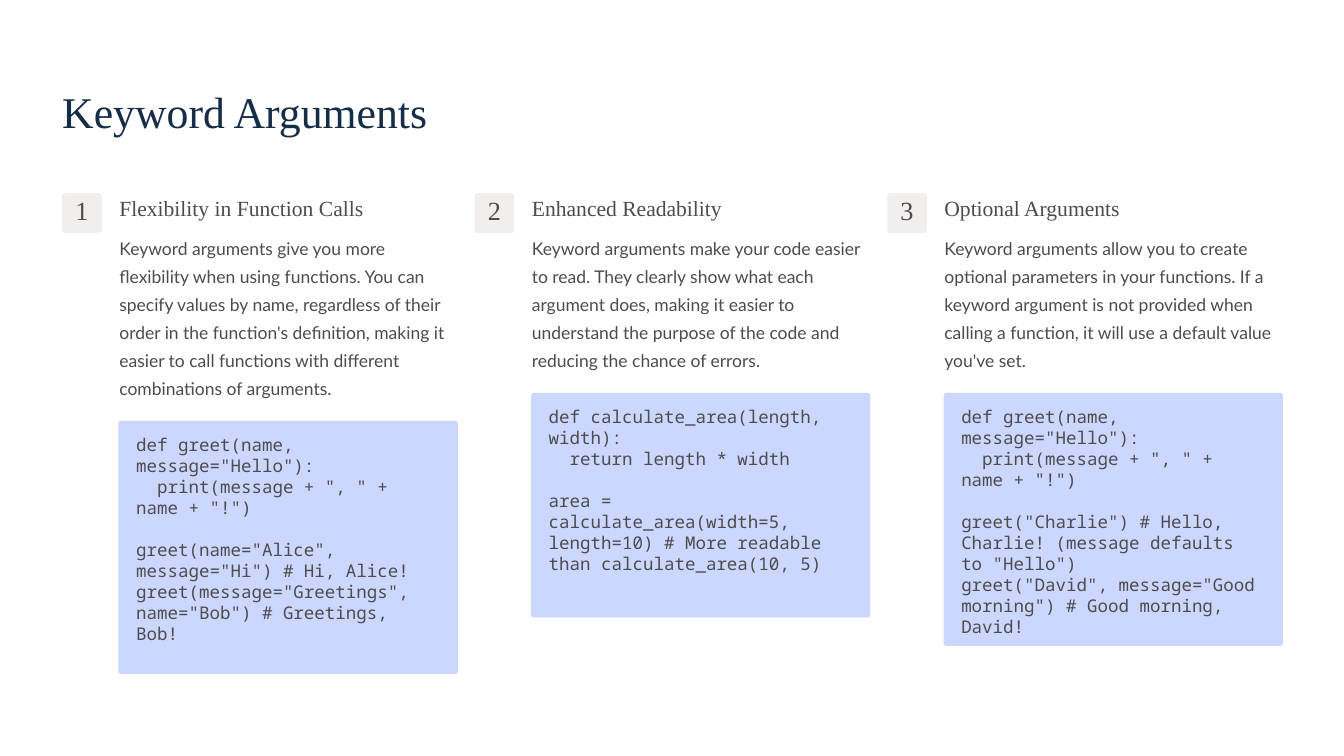
"""Build the slide on Python keyword arguments."""
import pptx
import pptx.dml.color
import pptx.enum.shapes
import pptx.enum.text
import pptx.util

Pt = pptx.util.Pt
Align = pptx.enum.text.PP_ALIGN
Anchor = pptx.enum.text.MSO_ANCHOR

COLORS = {"title": "152D47", "text": "4C4C4D", "badge": "F2EEEE", "code": "CCD7FF"}
SERIF, SANS, MONO = "Times New Roman", "Lato", "Noto Sans Mono"

LEFT, PITCH, TOP = 53.3, 353.6, 165.6
INDENT, WIDTH = 49, 289.5
BODY_TOP, BODY_LINE, CODE_GAP = 198, 24, 18.7

TOPICS = [
    {
        "heading": "Flexibility in Function Calls",
        "body": "Keyword arguments give you more flexibility when using functions. "
                "You can specify values by name, regardless of their order in the "
                "function's definition, making it easier to call functions with "
                "different combinations of arguments.",
        "body_lines": 6,
        "code": '''def greet(name, message="Hello"):
  print(message + ", " + name + "!")

greet(name="Alice", message="Hi") # Hi, Alice!
greet(message="Greetings", name="Bob") # Greetings, Bob!''',
        "code_height": 217,
    },
    {
        "heading": "Enhanced Readability",
        "body": "Keyword arguments make your code easier to read. They clearly show "
                "what each argument does, making it easier to understand the purpose "
                "of the code and reducing the chance of errors.",
        "body_lines": 5,
        "code": '''def calculate_area(length, width):
  return length * width

area = calculate_area(width=5, length=10) # More readable than calculate_area(10, 5)''',
        "code_height": 192.5,
    },
    {
        "heading": "Optional Arguments",
        "body": "Keyword arguments allow you to create optional parameters in your "
                "functions. If a keyword argument is not provided when calling a "
                "function, it will use a default value you've set.",
        "body_lines": 5,
        "code": '''def greet(name, message="Hello"):
  print(message + ", " + name + "!")

greet("Charlie") # Hello, Charlie! (message defaults to "Hello")
greet("David", message="Good morning") # Good morning, David!''',
        "code_height": 217,
    },
]


def write(box, text, *, font, size, line, color="text", align=Align.LEFT,
          anchor=Anchor.TOP, inset=(0, 0), wrap=True):
    """Fill a box with one formatted paragraph."""
    frame = box.text_frame
    frame.word_wrap = wrap
    frame.auto_size = pptx.enum.text.MSO_AUTO_SIZE.NONE
    frame.vertical_anchor = anchor
    frame.margin_left = frame.margin_right = Pt(inset[0])
    frame.margin_top = frame.margin_bottom = Pt(inset[1])
    para = frame.paragraphs[0]
    para.text = text.replace("\n", "\v")
    para.alignment = align
    para.line_spacing = Pt(line)
    para.space_before = Pt(0)
    for span in para.runs:
        span.font.name = font
        span.font.size = Pt(size)
        span.font.color.rgb = pptx.dml.color.RGBColor.from_string(COLORS[color])


class SlideBuilder:
    """Hold the deck and the current page, and add elements to it."""

    def __init__(self):
        """Start a deck with one title-only page."""
        self.deck = pptx.Presentation()
        self.deck.slide_width = Pt(1152)
        self.deck.slide_height = Pt(648)
        self.page = self.deck.slides.add_slide(self.deck.slide_layouts[5])

    def title(self, text, left, top, width, height):
        """Place and format the title placeholder."""
        box = self.page.shapes.title
        box.left, box.top, box.width, box.height = map(Pt, (left, top, width, height))
        write(box, text, font=SERIF, size=37.5, line=47, color="title", wrap=False)

    def text(self, text, left, top, width, height, **style):
        """Add a plain text box."""
        box = self.page.shapes.add_textbox(*map(Pt, (left, top, width, height)))
        write(box, text, **style)

    def panel(self, text, left, top, width, height, fill, radius, **style):
        """Add a filled rounded rectangle with text."""
        box = self.page.shapes.add_shape(
            pptx.enum.shapes.MSO_SHAPE.ROUNDED_RECTANGLE,
            *map(Pt, (left, top, width, height)))
        box.adjustments[0] = radius / min(width, height)
        box.shadow.inherit = False
        box.fill.solid()
        box.fill.fore_color.rgb = pptx.dml.color.RGBColor.from_string(COLORS[fill])
        box.line.fill.background()
        write(box, text, **style)

    def topic(self, number, heading, body, body_lines, code, code_height):
        """Add one numbered column with heading, body and code."""
        left = LEFT + (number - 1) * PITCH
        inner = left + INDENT
        body_height = body_lines * BODY_LINE
        self.panel(str(number), left, TOP, 34, 34, "badge", 2.25, font=SERIF,
                   size=22.5, line=22.5, align=Align.CENTER, anchor=Anchor.MIDDLE)
        self.text(heading, inner, TOP, WIDTH, 24, font=SERIF, size=18.5, line=23.5,
                  wrap=False)
        self.text(body, inner, BODY_TOP, WIDTH, body_height, font=SANS, size=15,
                  line=BODY_LINE)
        self.panel(code, inner - 0.7, BODY_TOP + body_height + CODE_GAP, WIDTH + 1.4,
                   code_height, "code", 2.25, font=MONO, size=15, line=18,
                   inset=(14.5, 11))


def main():
    """Build and save the deck."""
    builder = SlideBuilder()
    builder.title("Keyword Arguments", LEFT, 70.5, 379, 47.5)
    for number, topic in enumerate(TOPICS, 1):
        builder.topic(number, **topic)
    builder.deck.save("out.pptx")


if __name__ == "__main__":
    main()
